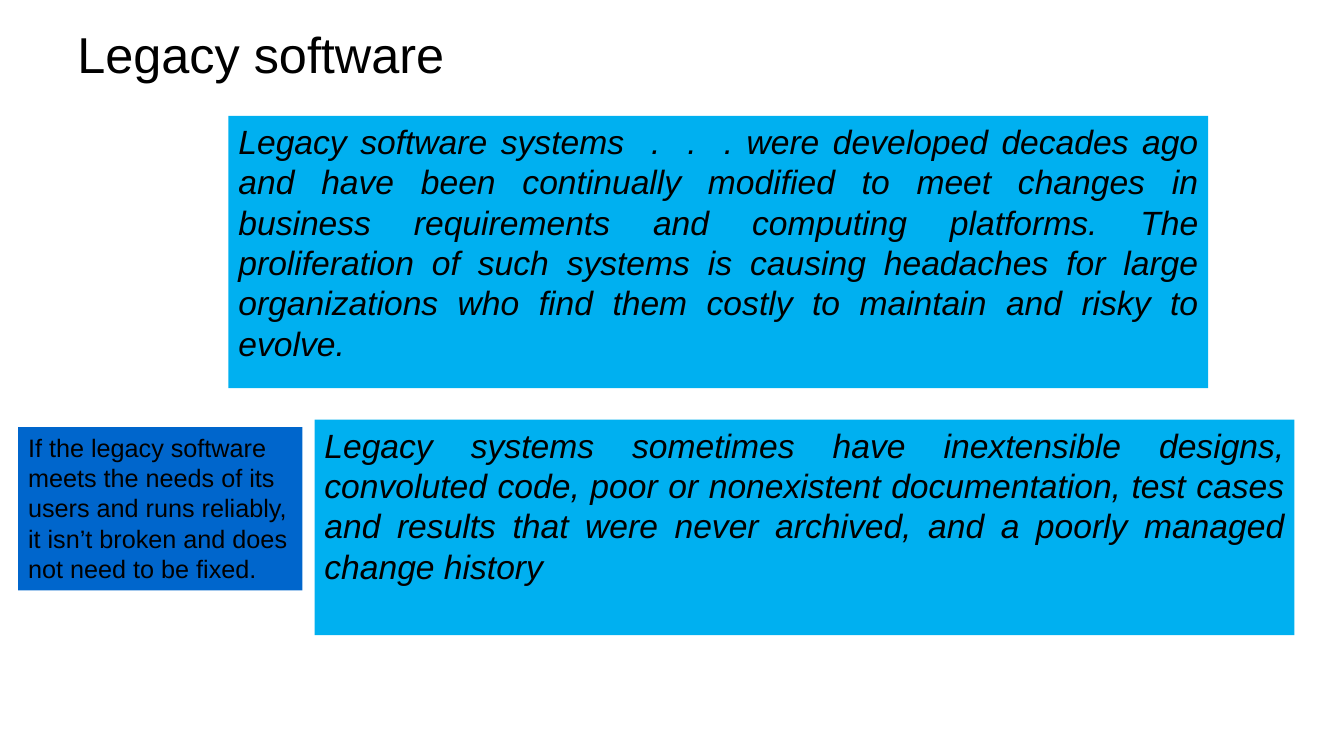
from pptx import Presentation
from pptx.dml.color import RGBColor
from pptx.enum.shapes import MSO_SHAPE as Shape
from pptx.enum.text import MSO_ANCHOR as Anchor, MSO_AUTO_SIZE as AutoSize, PP_ALIGN as Align
from pptx.util import Inches, Pt

BLACK = RGBColor(0x00, 0x00, 0x00)
SKY_BLUE = RGBColor(0x00, 0xB0, 0xF0)
DEEP_BLUE = RGBColor(0x00, 0x66, 0xCC)

COLUMNS, ROWS = 100, 100
QUOTE_WIDTH = 72.9

LEGACY_DEFINITION = (
    "Legacy software systems  .  .  . were developed decades ago and have been "
    "continually modified to meet changes in business requirements and computing "
    "platforms. The proliferation of such systems is causing headaches for large "
    "organizations who find them costly to maintain and risky to evolve."
)
LEGACY_PROBLEMS = (
    "Legacy systems sometimes have inextensible designs, convoluted code, poor or "
    "nonexistent documentation, test cases and results that were never archived, "
    "and a poorly managed change history"
)
KEEP_ADVICE = (
    "If the legacy software meets the needs of its users and runs reliably, "
    "it isn’t broken and does not need to be fixed."
)


class SlideBuilder:
    """Holds the text style and the slide; places items on a 100 by 100 grid."""

    font_name = "Arial"
    text_color = BLACK
    line_pitch = 1.2

    def __init__(self, presentation):
        self.column = presentation.slide_width / COLUMNS
        self.row = presentation.slide_height / ROWS
        self.slide = presentation.slides.add_slide(presentation.slide_layouts[5])

    def bounds(self, left, top, width, height):
        """Turn grid columns and rows into slide lengths."""
        return (round(left * self.column), round(top * self.row),
                round(width * self.column), round(height * self.row))

    def add_text(self, paragraph, text, size, align=Align.LEFT, italic=False):
        paragraph.alignment = align
        run = paragraph.add_run()
        run.text = text
        font = run.font
        font.name = self.font_name
        font.size = Pt(size)
        font.italic = italic
        font.color.rgb = self.text_color

    def title(self, text, *place):
        shape = self.slide.shapes.title
        shape.left, shape.top, shape.width, shape.height = self.bounds(*place)
        frame = shape.text_frame
        frame.auto_size = AutoSize.NONE
        frame.vertical_anchor = Anchor.MIDDLE
        self.add_text(frame.paragraphs[0], text, 36)

    def panel(self, text, place, fill, size, **style):
        """Add a filled rectangle with text at its top and return its text frame."""
        shape = self.slide.shapes.add_shape(Shape.RECTANGLE, *self.bounds(*place))
        shape.shadow.inherit = False
        shape.fill.solid()
        shape.fill.fore_color.rgb = fill
        shape.line.fill.background()
        frame = shape.text_frame
        frame.word_wrap = True
        frame.vertical_anchor = Anchor.TOP
        paragraph = frame.paragraphs[0]
        paragraph.line_spacing = Pt(size * self.line_pitch)
        self.add_text(paragraph, text, size, **style)
        return frame

    def quote(self, text, left, top, height):
        self.panel(text, (left, top, QUOTE_WIDTH, height), SKY_BLUE, 24,
                   align=Align.JUSTIFY, italic=True)

    def note(self, text, *place):
        frame = self.panel(text, place, DEEP_BLUE, 18)
        frame.auto_size = AutoSize.SHAPE_TO_FIT_TEXT


def main():
    presentation = Presentation()
    presentation.slide_width = Inches(13.33)
    presentation.slide_height = Inches(7.5)

    builder = SlideBuilder(presentation)
    builder.title("Legacy software", 5, 2.8, 90, 8.5)
    builder.quote(LEGACY_DEFINITION, left=17, top=15.35, height=36)
    builder.quote(LEGACY_PROBLEMS, left=23.4, top=55.5, height=28.5)
    builder.note(KEEP_ADVICE, 1.35, 56.5, 21.15, 21.6)

    presentation.save("out.pptx")


if __name__ == "__main__":
    main()
